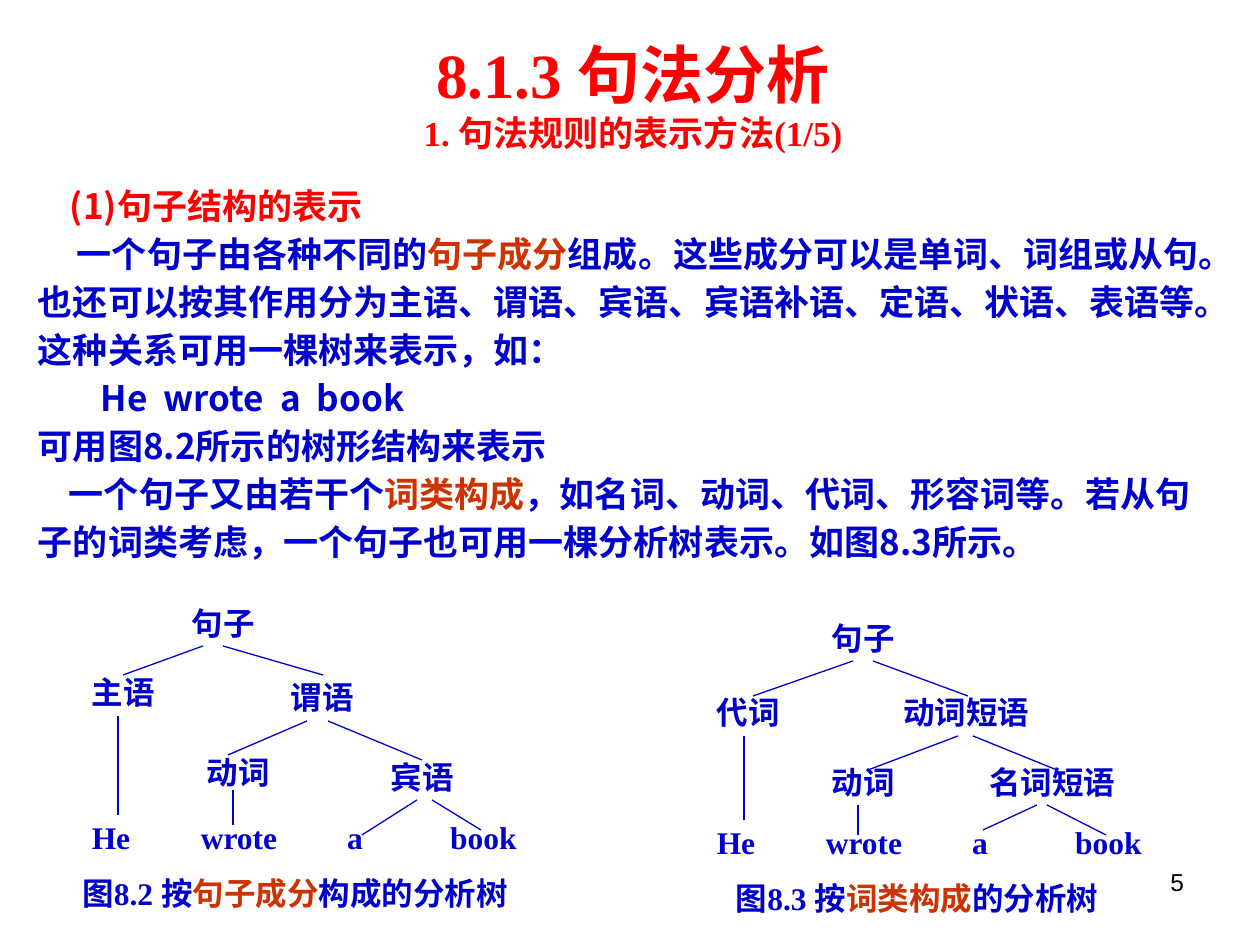
from dataclasses import dataclass

from lxml import etree
from pptx import Presentation
from pptx import util as u
from pptx.dml.color import RGBColor
from pptx.enum import shapes, text
from pptx.oxml.ns import qn

PX = 914400 / 126  # EMU in one px


@dataclass(frozen=True)
class Theme:
    red: str = "FF0000"
    blue: str = "0000CC"
    rust: str = "CC3300"
    white: str = "FFFFFF"
    black: str = "000000"
    serif: str = "Times New Roman"
    sans: str = "Noto Sans CJK SC"
    plain: str = "Arial"
    head: int = 36
    body: int = 20
    node: int = 18
    page: int = 14
    lead: float = 1.2  # line pitch as a share of type size


T = Theme()
MID, LEFT, RIGHT = text.PP_ALIGN.CENTER, text.PP_ALIGN.LEFT, text.PP_ALIGN.RIGHT


def emu(n):
    return u.Emu(round(n * PX))


def place(shape, box):
    shape.left, shape.top, shape.width, shape.height = map(emu, box)


def frame(shape, wrap=True, anchor=text.MSO_ANCHOR.TOP, pad=6):
    tf = shape.text_frame
    tf.word_wrap = wrap
    tf.auto_size = text.MSO_AUTO_SIZE.NONE
    tf.vertical_anchor = anchor
    tf.margin_left = tf.margin_right = emu(13)
    tf.margin_top, tf.margin_bottom = emu(pad), emu(6)
    return tf


def write(para, runs, size, font, align=MID, pitch=None, indent=0):
    """Fill a paragraph from (words, colour) runs."""
    para.alignment = align
    para.space_before = u.Pt(0)
    if pitch:
        para.line_spacing = u.Pt(pitch)
    if indent:
        props = para._p.get_or_add_pPr()
        props.set("marL", "0")
        props.set("indent", str(emu(indent)))
    for words, color in runs:
        run = para.add_run()
        run.text = words
        run.font.size = u.Pt(size)
        run.font.name = font
        run.font.bold = font != T.plain
        run.font.color.rgb = RGBColor.from_string(color)
        props = run._r.get_or_add_rPr()
        east = etree.SubElement(props, qn("a:ea"))
        east.set("typeface", T.sans)
        if words == " ":  # wide gap between words
            props.set("spc", "450")


def title(slide, box):
    shape = slide.shapes.title
    place(shape, box)
    tf = frame(shape, anchor=text.MSO_ANCHOR.MIDDLE, pad=16)
    write(tf.paragraphs[0], [("8.1.3 句法分析", T.red)], T.head, T.serif,
          pitch=T.head * T.lead)
    write(tf.add_paragraph(), [("1. 句法规则的表示方法(1/5)", T.red)],
          T.body, T.serif, pitch=T.body * T.lead)


def body(slide, box):
    gap = (" ", T.blue)
    paras = [
        (32, [("(1)句子结构的表示", T.red)]),
        (39, [("一个句子由各种不同的", T.blue), ("句子成分", T.rust),
              ("组成。这些成分可以是单词、词组或从句。也还可以按其作用分为主语、谓语、"
               "宾语、宾语补语、定语、状语、表语等。这种关系可用一棵树来表示，如：",
               T.blue)]),
        (63, [("He", T.blue), gap, ("wrote", T.blue), gap,
              ("a", T.blue), gap, ("book", T.blue)]),
        (0, [("可用图8.2所示的树形结构来表示", T.blue)]),
        (31, [("一个句子又由若干个", T.blue), ("词类构成", T.rust),
              ("，如名词、动词、代词、形容词等。若从句子的词类考虑，"
               "一个句子也可用一棵分析树表示。如图8.3所示。", T.blue)]),
    ]
    tf = frame(slide.shapes.add_textbox(*map(emu, box)), pad=9)
    for i, (indent, runs) in enumerate(paras):
        para = tf.add_paragraph() if i else tf.paragraphs[0]
        write(para, runs, T.body, T.sans, LEFT, 27.4, indent)


def node(slide, label, x, y, w):
    shape = slide.shapes.add_shape(shapes.MSO_SHAPE.RECTANGLE,
                                   *map(emu, (x, y, w, 44)))
    shape.shadow.inherit = False
    shape.fill.solid()
    shape.fill.fore_color.rgb = RGBColor.from_string(T.white)
    shape.line.fill.background()
    tf = frame(shape, wrap=False, anchor=text.MSO_ANCHOR.MIDDLE)
    write(tf.paragraphs[0], [(label, T.blue)], T.node, T.serif)


def branch(slide, *ends):
    line = slide.shapes.add_connector(shapes.MSO_CONNECTOR.STRAIGHT,
                                      *map(emu, ends))
    line.line.color.rgb = RGBColor.from_string(T.blue)
    line.line.width = u.Pt(0.75)
    etree.SubElement(line._element.spPr, qn("a:effectLst"))


def tree(slide, x, y, parts, row, lines):
    """Draw a parse tree: parts of speech, the row of words, branches."""
    words = [("He", 10, 84), ("wrote", 125, 110), ("a", 264, 64),
             ("book", 368, 113)]
    for label, dx, dy in parts:
        node(slide, label, x + dx, y + dy, 129)
    for label, dx, w in words:
        node(slide, label, x + dx, y + row, w)
    for x1, y1, x2, y2 in lines:
        branch(slide, x + x1, y + y1, x + x2, y + y2)


def caption(slide, box, start, key, end):
    tf = frame(slide.shapes.add_textbox(*map(emu, box)), pad=10)
    write(tf.paragraphs[0], [(start, T.blue), (key, T.rust), (end, T.blue)],
          T.node, T.serif, pitch=T.node * T.lead)


def page(slide, box):
    tf = frame(slide.shapes.add_textbox(*map(emu, box)))
    write(tf.paragraphs[0], [("5", T.black)], T.page, T.plain, RIGHT)


def main():
    deck = Presentation()
    deck.slide_width, deck.slide_height = emu(1260), emu(945)
    slide = deck.slides.add_slide(deck.slide_layouts[5])

    page(slide, (903, 861, 294, 66))
    title(slide, (30, 24, 1206, 131))
    body(slide, (25, 170, 1211, 396))

    # Tree by sentence parts
    tree(slide, 59, 601,
         [("句子", 100, 0), ("主语", 0, 69), ("谓语", 199, 74),
          ("动词", 115, 149), ("宾语", 299, 154)], 214,
         [(144, 45, 64, 74), (164, 45, 264, 74),
          (248, 120, 169, 154), (269, 120, 363, 159),
          (59, 115, 59, 214), (174, 189, 174, 224),
          (358, 199, 303, 234), (373, 199, 422, 229)])

    # Tree by word classes
    tree(slide, 684, 616,
         [("句子", 115, 0), ("代词", 0, 74), ("动词短语", 218, 74),
          ("动词", 115, 144), ("名词短语", 304, 144)], 204,
         [(169, 45, 69, 80), (189, 45, 284, 80),
          (274, 120, 184, 154), (289, 120, 373, 154),
          (60, 120, 60, 204), (174, 189, 174, 219),
          (353, 189, 299, 214), (363, 189, 422, 219)])

    caption(slide, (39, 864, 512, 50), "图8.2 按", "句子成分", "构成的分析树")
    caption(slide, (684, 869, 466, 50), "图8.3 按", "词类构成", "的分析树")
    deck.save("out.pptx")


if __name__ == "__main__":
    main()
